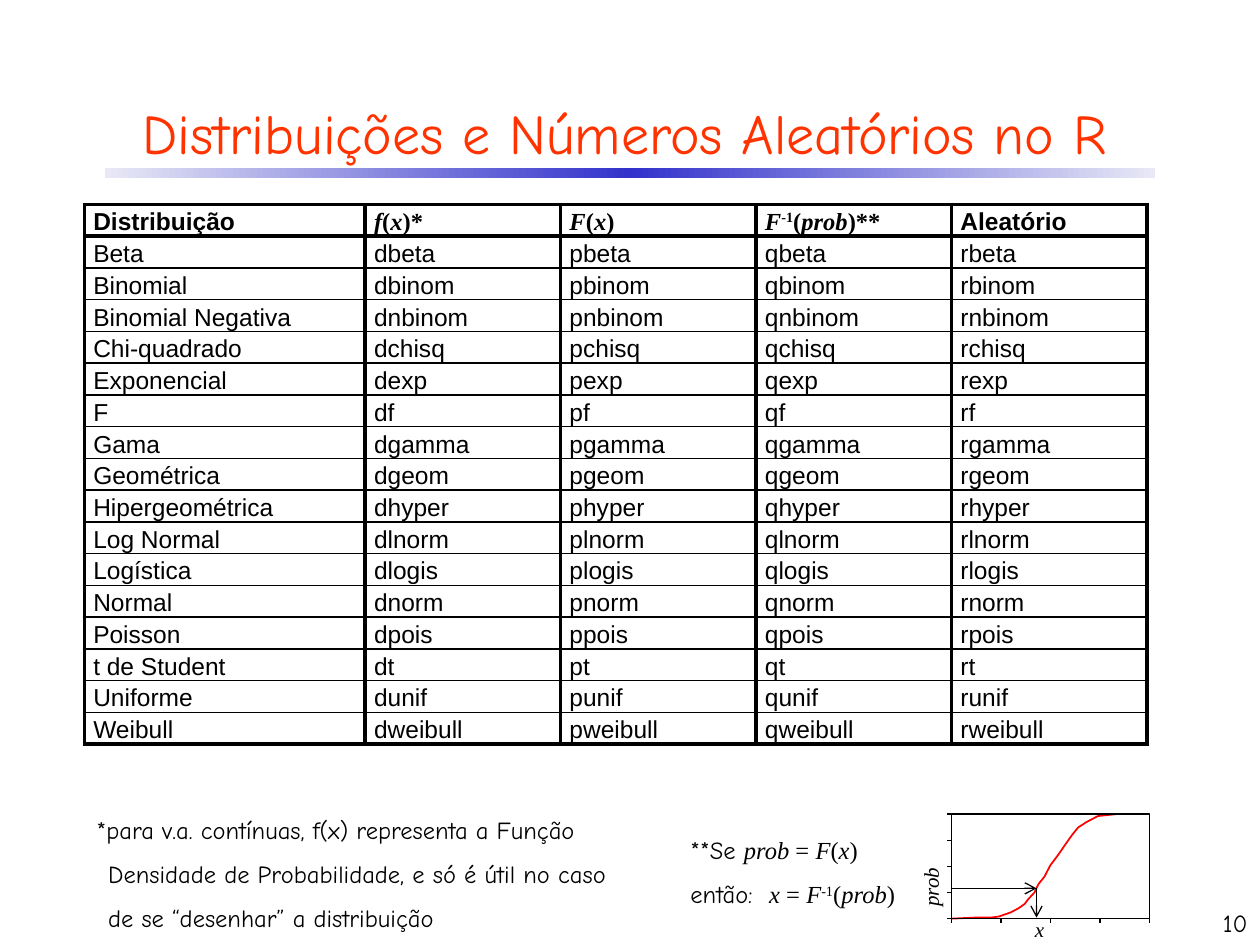
from typing import NamedTuple

from lxml.etree import SubElement
from pptx import Presentation
from pptx.dml.color import RGBColor
from pptx.enum.shapes import MSO_CONNECTOR, MSO_SHAPE
from pptx.enum.text import MSO_ANCHOR, MSO_AUTO_SIZE, PP_ALIGN
from pptx.oxml import parse_xml
from pptx.oxml.ns import nsdecls, qn
from pptx.util import Cm, Pt

COLORS = {"title": "FF3300", "text": "000000", "curve": "FF0000",
          "bar_end": "E8E8F6", "bar_middle": "3333CC"}
HAND, SANS, SERIF = "Comic Neue", "Arial", "Times New Roman"
THIN, THICK = 1, 2.25


class Span(NamedTuple):
    text: str
    font: str = SERIF
    italic: bool = False
    superscript: bool = False


class Box(NamedTuple):
    left: float
    top: float
    width: float
    height: float


def math(text: str) -> Span:
    return Span(text, italic=True)


INVERSE = [math("F"), Span("-1", superscript=True), Span("("), math("prob")]
HEADERS = [
    [Span("Distribuição", SANS)],
    [math("f"), Span("("), math("x"), Span(")*")],
    [math("F"), Span("("), math("x"), Span(")")],
    [*INVERSE, Span(")**")],
    [Span("Aleatório", SANS)],
]
# Each distribution with the root of its R functions
DISTRIBUTIONS = {
    "Beta": "beta", "Binomial": "binom", "Binomial Negativa": "nbinom",
    "Chi-quadrado": "chisq", "Exponencial": "exp", "F": "f", "Gama": "gamma",
    "Geométrica": "geom", "Hipergeométrica": "hyper", "Log Normal": "lnorm",
    "Logística": "logis", "Normal": "norm", "Poisson": "pois",
    "t de Student": "t", "Uniforme": "unif", "Weibull": "weibull",
}
INVERSE_NOTE = [
    Span("**Se ", HAND), math("prob"), Span(" = "), math("F"), Span("("), math("x"),
    Span(") "), Span("então:  ", HAND), math("x"), Span(" = "), *INVERSE, Span(")"),
]
DENSITY_NOTE = ("*para v.a. contínuas, f(x) representa a Função Densidade de Probabilidade, "
                "e só é útil no caso de se “desenhar” a distribuição")

# Plot area, and the curve in percent of it
PLOT = Box(19.18, 16.41, 3.99, 2.11)
CURVE = [(0, 0), (12, 1), (20, 1), (24, 2), (27, 4), (30, 6), (34, 10), (37, 14), (39, 19),
         (42, 25), (44, 33), (47, 40), (50, 51), (54, 61), (58, 72), (61, 80), (64, 87),
         (68, 92), (70, 94), (74, 98), (79, 99), (84, 100), (100, 100)]
QUANTILE = (43, 29)
TICK = 0.08


def color(name: str) -> RGBColor:
    return RGBColor.from_string(COLORS[name])


def plot_point(x: float, y: float) -> tuple:
    return PLOT.left + PLOT.width * x / 100, PLOT.top + PLOT.height * (1 - y / 100)


def write(paragraph, spans: list, size: float, bold: bool = False) -> None:
    paragraph.font.size = Pt(size)
    paragraph.font.bold = bold
    paragraph.font.color.rgb = color("text")
    for span in spans:
        run = paragraph.add_run()
        run.text = span.text
        run.font.name = span.font
        run.font.italic = span.italic
        if span.superscript:
            run.font._element.set("baseline", "30000")


def add_text(shapes, box: Box, spans: list, size: float, align=PP_ALIGN.LEFT,
             spacing: float = 1.0, wrap: bool = True):
    shape = shapes.add_textbox(*map(Cm, box))
    shape.text_frame.word_wrap = wrap
    shape.text_frame.auto_size = MSO_AUTO_SIZE.NONE
    paragraph = shape.text_frame.paragraphs[0]
    paragraph.alignment = align
    paragraph.line_spacing = spacing
    write(paragraph, spans, size)
    return shape


def add_line(shapes, start: tuple, end: tuple, arrow: bool = False) -> None:
    connector = shapes.add_connector(MSO_CONNECTOR.STRAIGHT, *map(Cm, start + end))
    connector.line.color.rgb = color("text")
    connector.line.width = Pt(0.75)
    if arrow:
        SubElement(connector.line._get_or_add_ln(), qn("a:tailEnd"), type="arrow")
    SubElement(connector._element.spPr, qn("a:effectLst"))


def set_borders(cell, top: float, bottom: float) -> None:
    widths = {"L": THICK, "R": THICK, "T": top, "B": bottom}
    for index, (side, width) in enumerate(widths.items()):
        cell._tc.get_or_add_tcPr().insert(index, parse_xml(
            f'<a:ln{side} {nsdecls("a")} w="{Pt(width)}"><a:solidFill>'
            f'<a:srgbClr val="{COLORS["text"]}"/></a:solidFill></a:ln{side}>'))


def add_title(slide) -> None:
    title = slide.shapes.title
    title.left, title.top, title.width, title.height = map(Cm, Box(0.51, 1.7, 24.18, 1.91))
    title.text = "Distribuições e Números Aleatórios no R"
    title.text_frame.vertical_anchor = MSO_ANCHOR.MIDDLE
    paragraph = title.text_frame.paragraphs[0]
    paragraph.alignment = PP_ALIGN.CENTER
    paragraph.font.name, paragraph.font.size = HAND, Pt(32)
    paragraph.font.color.rgb = color("title")
    # Gradient bar behind the title
    bar = slide.shapes.add_shape(MSO_SHAPE.RECTANGLE, *map(Cm, Box(2.12, 3.39, 21.17, 0.2)))
    bar.shadow.inherit = False
    bar.line.fill.background()
    bar.fill.gradient()
    bar.fill.gradient_angle = 0
    stops = bar._element.spPr.find(qn("a:gradFill")).find(qn("a:gsLst"))
    for stop in list(stops):
        stops.remove(stop)
    for position, name in ((0, "bar_end"), (50, "bar_middle"), (100, "bar_end")):
        stop = SubElement(stops, qn("a:gs"), pos=str(position * 1000))
        SubElement(stop, qn("a:srgbClr"), val=COLORS[name])
    slide.shapes._spTree.insert(2, bar._element)


def add_distribution_table(slide) -> None:
    rows = [HEADERS] + [
        [[Span(text, SANS)] for text in (name, *(prefix + root for prefix in "dpqr"))]
        for name, root in DISTRIBUTIONS.items()]
    frame = slide.shapes.add_table(len(rows), 5, *map(Cm, Box(1.7, 4.12, 21.4, 10.88)))
    table = frame.table
    table.first_row = table.horz_banding = False
    for index, column in enumerate(table.columns):
        column.width = Cm(3.94 if index else 5.66)
    for index, spans_row in enumerate(rows):
        table.rows[index].height = Cm(0.64)
        for cell, spans in zip(table.rows[index].cells, spans_row):
            cell.fill.background()
            cell.margin_left = cell.margin_right = Cm(0.18)
            cell.margin_top = cell.margin_bottom = 0
            paragraph = cell.text_frame.paragraphs[0]
            paragraph.line_spacing = 1.15
            write(paragraph, spans, 14, bold=index == 0)
            set_borders(cell, THICK if index < 2 else THIN,
                        THICK if index in (0, len(rows) - 1) else THIN)


def add_quantile_plot(slide) -> None:
    shapes = slide.shapes.add_group_shape().shapes
    # Distribution curve
    points = [tuple(map(Cm, plot_point(*point))) for point in CURVE]
    builder = shapes.build_freeform(*points[0])
    builder.add_line_segments(points[1:], close=False)
    curve = builder.convert_to_shape()
    frame = shapes.add_shape(MSO_SHAPE.RECTANGLE, *map(Cm, PLOT))
    for shape, name, width in ((curve, "curve", 1), (frame, "text", 0.75)):
        shape.shadow.inherit = False
        shape.fill.background()
        shape.line.color.rgb = color(name)
        shape.line.width = Pt(width)
    # Axis ticks
    for percent in range(0, 101, 25):
        x, bottom = plot_point(percent, 0)
        add_line(shapes, (x, bottom), (x, bottom + TICK))
        left, y = plot_point(0, percent)
        add_line(shapes, (left, y), (left - TICK, y))
    # Axis labels
    label = add_text(shapes, Box(18.11, 17.5, 1.3, 0.76), [math("prob")], 12,
                     PP_ALIGN.CENTER, wrap=False)
    label.rotation = 270
    add_text(shapes, Box(20.6, 18.36, 0.71, 0.76), [math("x")], 12, PP_ALIGN.CENTER, wrap=False)
    # From probability to quantile
    corner = plot_point(*QUANTILE)
    add_line(shapes, plot_point(0, QUANTILE[1]), corner, arrow=True)
    add_line(shapes, corner, plot_point(QUANTILE[0], 1), arrow=True)


def main() -> None:
    presentation = Presentation()
    presentation.slide_width, presentation.slide_height = Cm(25.4), Cm(19.05)
    slide = presentation.slides.add_slide(presentation.slide_layouts[5])
    add_title(slide)
    number = add_text(slide.shapes, Box(20.12, 18.14, 5.28, 0.89), [Span("10", HAND)], 14,
                      PP_ALIGN.RIGHT)
    number.text_frame.vertical_anchor = MSO_ANCHOR.BOTTOM
    add_distribution_table(slide)
    add_text(slide.shapes, Box(13.67, 16.41, 4.85, 1.96), INVERSE_NOTE, 14, spacing=1.5)
    add_quantile_plot(slide)
    note = add_text(slide.shapes, Box(1.7, 16, 11.23, 2.84), [Span(DENSITY_NOTE, HAND)], 14,
                    spacing=1.5)
    properties = note.text_frame.paragraphs[0]._p.get_or_add_pPr()
    properties.set("marL", str(Cm(0.23)))
    properties.set("indent", str(Cm(-0.23)))
    presentation.save("out.pptx")


if __name__ == "__main__":
    main()
